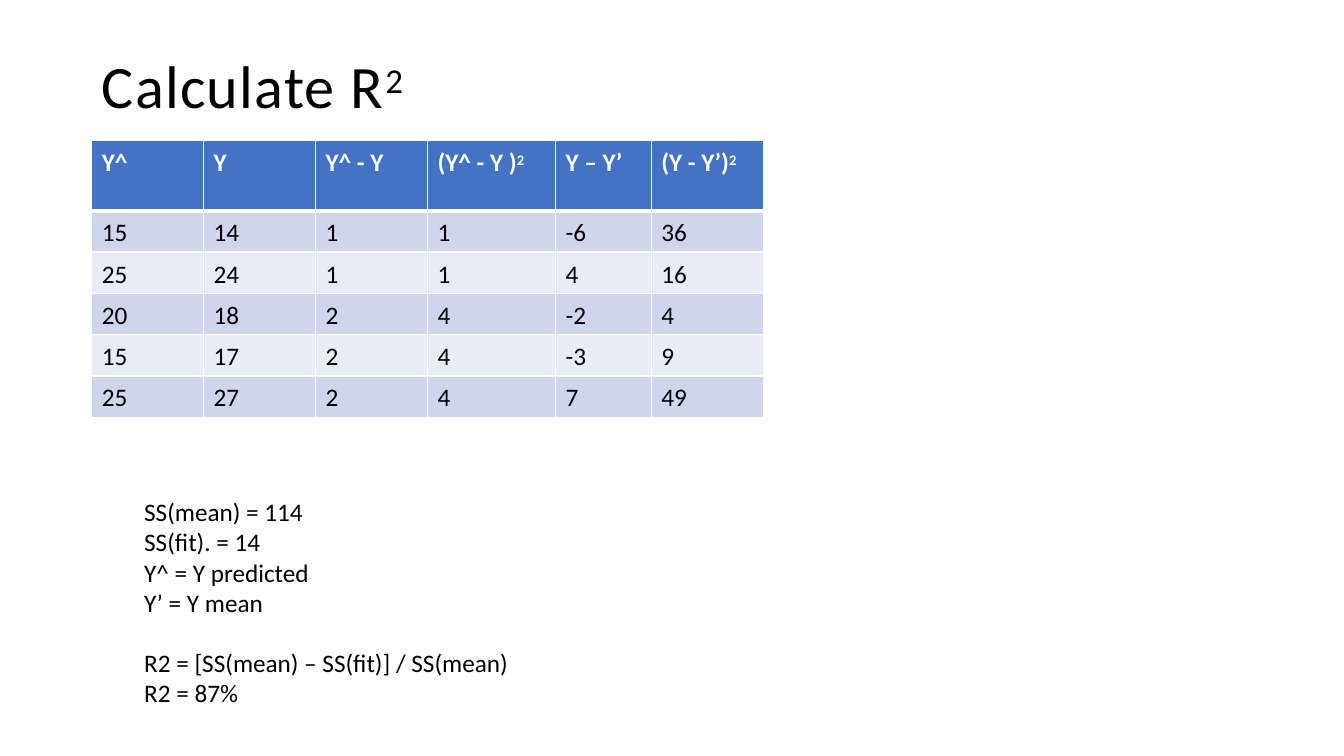
from pptx import Presentation
from pptx.dml.color import RGBColor
from pptx.oxml import parse_xml
from pptx.oxml.ns import nsdecls
from pptx.util import Inches, Pt

FONT = "Calibri"
BLACK = RGBColor(0x00, 0x00, 0x00)
WHITE = RGBColor(0xFF, 0xFF, 0xFF)
HEADER_BLUE = RGBColor(0x44, 0x72, 0xC4)
BAND_DARK = RGBColor(0xCF, 0xD5, 0xEA)
BAND_LIGHT = RGBColor(0xE9, 0xEB, 0xF5)

COLUMN_WIDTHS = [1.11, 1.11, 1.11, 1.27, 0.95, 1.11]
HEADER_HEIGHT, ROW_HEIGHT = 0.7, 0.41
HEADERS = [("Y^", ""), ("Y", ""), ("Y^ - Y", ""),
           ("(Y^ - Y )", "2"), ("Y – Y’", ""), ("(Y - Y’)", "2")]
ROWS = [
    (15, 14, 1, 1, -6, 36),
    (25, 24, 1, 1, 4, 16),
    (20, 18, 2, 4, -2, 4),
    (15, 17, 2, 4, -3, 9),
    (25, 27, 2, 4, 7, 49),
]
RESULTS = [
    ("SS(mean) = 114", 0),
    ("SS(fit). = 14", 0),
    ("Y^ = Y predicted", 0.6),
    ("Y’ = Y mean", 0),
    ("R2 = [SS(mean) – SS(fit)] / SS(mean)", 21.6),
    ("R2 = 87%", 0),
]


def write(p, text, sup="", size=18, color=BLACK, bold=False,
          raise_by=23, tracking=0, before=0, line=None):
    """Fill a paragraph with text and an optional superscript."""
    p.space_before = Pt(before)
    if line:
        p.line_spacing = Pt(line)
    for part, baseline in ((text, 0), (sup, raise_by)):
        if not part:
            continue
        r = p.add_run()
        r.text = part
        r.font.name, r.font.size, r.font.bold = FONT, Pt(size), bold
        r.font.color.rgb = color
        props = r.font._element
        if baseline:
            props.set("baseline", str(baseline * 1000))
        if tracking:
            props.set("spc", str(int(tracking * 100)))


def add_text_box(s, left, top, width, height, inset_left, inset_top):
    tf = s.shapes.add_textbox(Inches(left), Inches(top),
                              Inches(width), Inches(height)).text_frame
    tf.word_wrap = True
    tf.margin_left, tf.margin_top = Inches(inset_left), Inches(inset_top)
    tf.margin_right = tf.margin_bottom = 0
    return tf


def set_borders(cell, top, bottom):
    """Draw white borders; the widths of top and bottom are in points."""
    sides = [("L", 1), ("R", 1), ("T", top), ("B", bottom)]
    for i, (side, width) in enumerate(sides):
        cell._tc.get_or_add_tcPr().insert(i, parse_xml(
            f'<a:ln{side} {nsdecls("a")} w="{Pt(width)}"><a:solidFill>'
            f'<a:srgbClr val="{WHITE}"/></a:solidFill></a:ln{side}>'))


def add_table(s, left, top):
    height = HEADER_HEIGHT + ROW_HEIGHT * len(ROWS)
    table = s.shapes.add_table(
        len(ROWS) + 1, len(HEADERS), Inches(left), Inches(top),
        Inches(sum(COLUMN_WIDTHS)), Inches(height)).table
    for column, width in zip(table.columns, COLUMN_WIDTHS):
        column.width = Inches(width)
    values = [HEADERS] + [[(str(v), "") for v in row] for row in ROWS]
    for i, row in enumerate(values):
        header = i == 0
        table.rows[i].height = Inches(HEADER_HEIGHT if header else ROW_HEIGHT)
        band = BAND_DARK if i % 2 else BAND_LIGHT
        for j, (text, sup) in enumerate(row):
            cell = table.cell(i, j)
            cell.margin_left, cell.margin_top = Inches(0.1), Inches(0.07)
            cell.margin_right = cell.margin_bottom = 0
            cell.fill.solid()
            cell.fill.fore_color.rgb = HEADER_BLUE if header else band
            set_borders(cell, top=3 if i == 1 else 1, bottom=3 if header else 1)
            write(cell.text_frame.paragraphs[0], text, sup, bold=header,
                  color=WHITE if header else BLACK)


def add_results(s):
    tf = add_text_box(s, 1.42, 4.91, 3.85, 2.12, 0.01, 0.02)
    for i, (text, before) in enumerate(RESULTS):
        p = tf.add_paragraph() if i else tf.paragraphs[0]
        write(p, text, before=before, line=21.4)


def main():
    prs = Presentation()
    prs.slide_width, prs.slide_height = Inches(13.33), Inches(7.5)
    s = prs.slides.add_slide(prs.slide_layouts[6])
    title = add_text_box(s, 0.97, 0.45, 3.3, 0.75, 0.04, 0.03)
    write(title.paragraphs[0], "Calculate R", "2", size=43,
          raise_by=25, tracking=0.9)
    add_table(s, 0.91, 1.39)
    add_results(s)
    prs.save("out.pptx")


if __name__ == "__main__":
    main()
